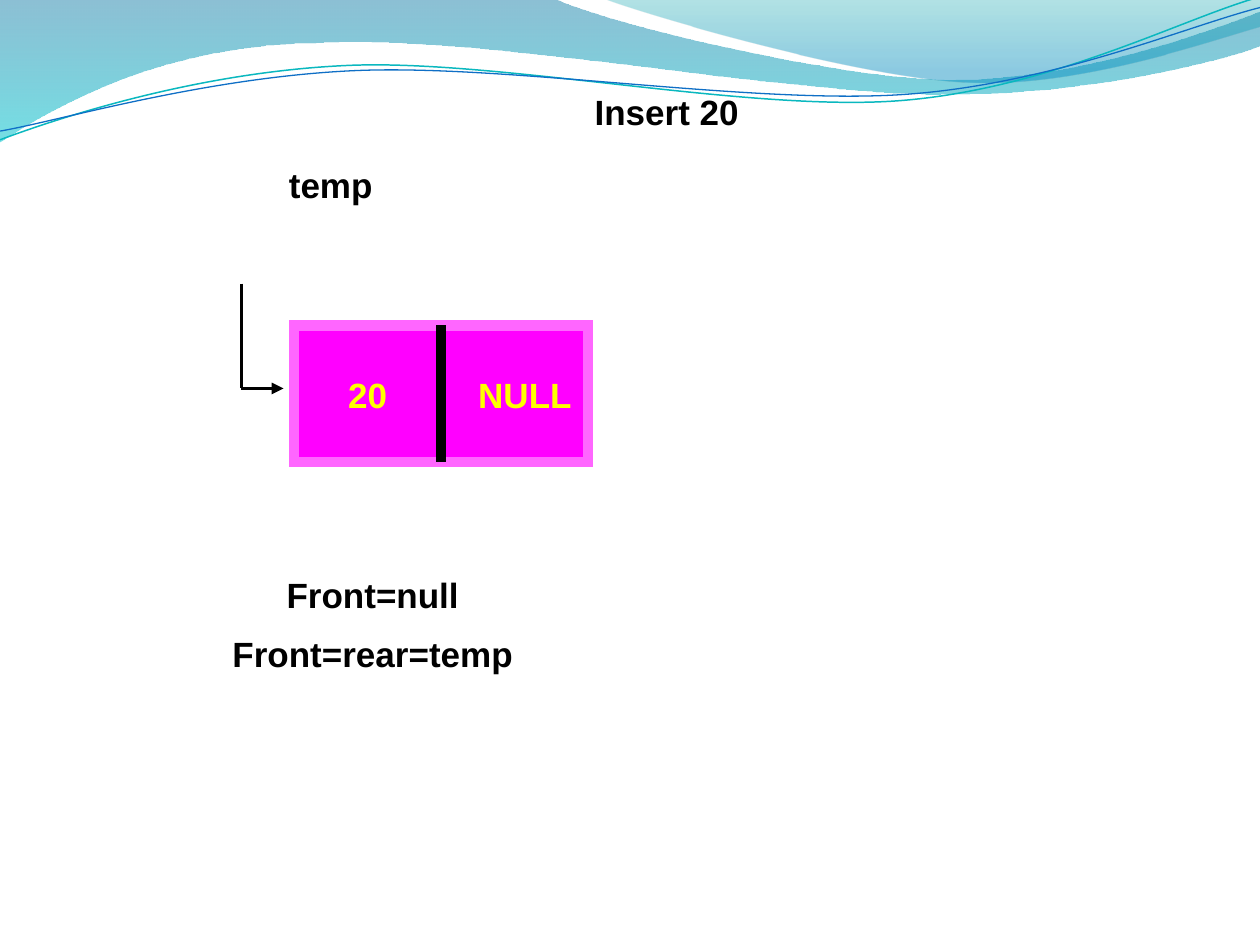
from lxml import etree
from pptx import Presentation
from pptx.dml.color import RGBColor
from pptx.enum.shapes import MSO_CONNECTOR, MSO_SHAPE
from pptx.enum.text import MSO_ANCHOR, MSO_AUTO_SIZE, PP_ALIGN
from pptx.oxml.ns import qn
from pptx.util import Pt

LINE = MSO_CONNECTOR.STRAIGHT
RECT = MSO_SHAPE.RECTANGLE
TOP = MSO_ANCHOR.TOP
NO_FIT = MSO_AUTO_SIZE.NONE
CENTER = PP_ALIGN.CENTER
TITLE_ONLY = 5

COLORS = {
    "ink": "000000", "node": "FF00FF", "edge": "FF66FF", "value": "FFFF00",
    "deep": "0074A1", "aqua": "00C6CF", "teal": "00A1A9", "sky": "008BBF",
    "thread": "0AB8BF", "blue": "0F6FC6",
}

# Waves: a pair is a straight step, six numbers are a Bezier curve.
# Each band ends with (color, opacity) stops and the place of the last stop.
BANDS = [
    ([(0, -0.7), (316.8, -0.7), (342.7, 12.2, 478, 45.4, 545.8, 45.4),
      (614.2, 45.4, 689.8, 18.7, 720, 6.5), (720.7, 25.9),
      (707.8, 31.7, 626.4, 54.7, 537.1, 54),
      (447.8, 54, 275, 20.2, 185, 24.5), (92.9, 25.2, 33.1, 59.8, -0.7, 81.4)],
     [("deep", 45), ("aqua", 55)], 1),
    ([(344.9, -0.7), (366.5, 7.9, 491, 44.6, 553.7, 46.8),
      (616.3, 49.7, 691.9, 23, 720, 15.1), (720, 0)],
     [("teal", 30), ("sky", 45)], 0.8),
]
THREADS = [
    ([(0, 79.9), (34.6, 67, 113.8, 41, 199.4, 37.4),
      (284.4, 33.8, 427, 64.1, 513.4, 57.6),
      (599.8, 51.1, 675.4, 10.8, 718.6, -1.4)], "thread", 0.85),
    ([(0, 74.9), (33.8, 69.1, 118.1, 43.9, 203.8, 40.3),
      (290.2, 36.7, 429.8, 59.8, 516.2, 54),
      (601.9, 48.2, 677.5, 15.1, 720, 4.3)], "blue", 0.75),
]


def rgb(name):
    return RGBColor.from_string(COLORS[name])


def add_curve(slide, box, steps, close):
    left, top = box
    pts = [(Pt(left + x), Pt(top + y)) for step in steps
           for x, y in zip(step[::2], step[1::2])]
    form = slide.shapes.build_freeform(*pts[0])
    form.add_line_segments(pts[1:], close=close)
    shape = form.convert_to_shape()
    shape.shadow.inherit = False
    # Join each three points of a Bezier step into one curve
    legs = shape._element.spPr.iter(qn("a:lnTo"))
    legs = iter(list(legs))
    for step in steps[1:]:
        group = [next(legs) for _ in step[::2]]
        if len(group) == 3:
            curve = etree.Element(qn("a:cubicBezTo"))
            group[0].addprevious(curve)
            for leg in group:
                curve.append(leg[0])
                leg.getparent().remove(leg)
    return shape


def add_waves(slide, box):
    for steps, stops, end in BANDS:
        band = add_curve(slide, box, steps, True)
        band.line.fill.background()
        band.fill.gradient()
        band.fill.gradient_angle = 270
        for stop, (color, _), pos in zip(band.fill.gradient_stops, stops,
                                         (0, end)):
            stop.color.rgb = rgb(color)
            stop.position = pos
        tints = band._element.spPr.iter(qn("a:srgbClr"))
        for tint, (_, alpha) in zip(list(tints), stops):
            etree.SubElement(tint, qn("a:alpha")).set("val", str(alpha * 1000))
    for steps, color, width in THREADS:
        thread = add_curve(slide, box, steps, False)
        thread.fill.background()
        thread.line.color.rgb = rgb(color)
        thread.line.width = Pt(width)


def set_text(shape, box, lines, color="ink"):
    shape.left, shape.top, shape.width, shape.height = map(Pt, box)
    frame = shape.text_frame
    frame.word_wrap = True
    frame.auto_size = NO_FIT
    frame.vertical_anchor = TOP
    frame.text = "\n".join(lines)
    for i, para in enumerate(frame.paragraphs):
        para.alignment = CENTER
        para.space_before = Pt(10 if i else 0)
        font = para.font
        font.name, font.size, font.bold = "Arial", Pt(20), True
        font.color.rgb = rgb(color)


def add_text(slide, box, lines, color="ink"):
    set_text(slide.shapes.add_textbox(*map(Pt, box)), box, lines, color)


def add_line(slide, start, end, width, arrow=False):
    line = slide.shapes.add_connector(LINE, *map(Pt, start + end))
    line.line.color.rgb = rgb("ink")
    line.line.width = Pt(width)
    if arrow:
        tail = etree.SubElement(line.line._get_or_add_ln(), qn("a:tailEnd"))
        tail.set("type", "triangle")
    etree.SubElement(line._element.spPr, qn("a:effectLst"))


def add_node(slide, box, value, link):
    left, top, width, height = box
    node = slide.shapes.add_shape(RECT, *map(Pt, box))
    node.shadow.inherit = False
    node.fill.solid()
    node.fill.fore_color.rgb = rgb("node")
    node.line.color.rgb = rgb("edge")
    node.line.width = Pt(6)
    miter = etree.SubElement(node.line._get_or_add_ln(), qn("a:miter"))
    miter.set("lim", "800000")
    mid = left + width / 2
    add_line(slide, (mid, top), (mid, top + height), 6)
    add_text(slide, (left + 18, top + 24, 48, 31), [value], "value")
    add_text(slide, (left + 60, top + 24, 144, 31), [link], "value")


def add_pointer(slide, box):
    left, top, width, height = box
    foot = (left, top + height)
    add_line(slide, (left, top), foot, 2.25)
    add_line(slide, foot, (left + width, top + height), 2.25, True)


def main():
    deck = Presentation()
    deck.slide_width, deck.slide_height = Pt(720), Pt(540)
    slide = deck.slides.add_slide(deck.slide_layouts[TITLE_ONLY])

    # Background waves
    add_waves(slide, (0, 0))

    # Title
    set_text(slide.shapes.title, (234, 48, 294, 31), ["Insert 20"])

    # List node with its pointer
    add_node(slide, (168, 186, 168, 78), "20", "NULL")
    add_pointer(slide, (138, 162, 24, 60))
    add_text(slide, (132, 90, 114, 31), ["temp"])

    # Pointer values
    add_text(slide, (114, 324, 198, 67), ["Front=null", "Front=rear=temp"])

    deck.save("out.pptx")


if __name__ == "__main__":
    main()
